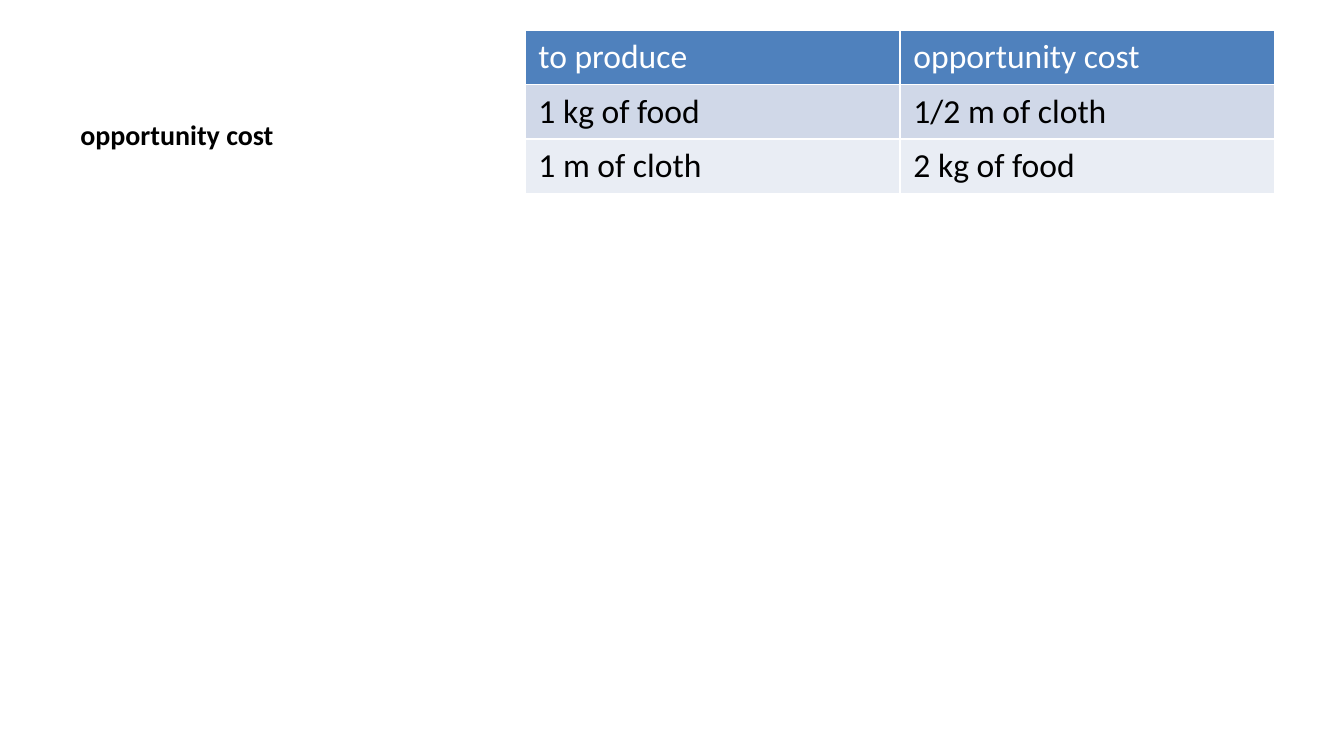
from pptx import Presentation
from pptx.dml.color import RGBColor
from pptx.enum import text
from pptx.util import Emu, Pt

TITLE = "opportunity cost"
ROWS = [
    ("to produce", "opportunity cost"),
    ("1 kg of food", "1/2 m of cloth"),
    ("1 m of cloth", "2 kg of food"),
]

FONT = "Calibri"
BLACK = RGBColor(0x00, 0x00, 0x00)
WHITE = RGBColor(0xFF, 0xFF, 0xFF)
HEADER_BLUE = RGBColor(0x4F, 0x81, 0xBD)
BAND_BLUE = RGBColor(0xD0, 0xD8, 0xE8)
BAND_PALE = RGBColor(0xE9, 0xED, 0xF4)
ROW_STYLES = [(HEADER_BLUE, WHITE), (BAND_BLUE, BLACK), (BAND_PALE, BLACK)]

SLIDE_WIDTH, SLIDE_HEIGHT = 1344, 756
TOP = 30
TITLE_LEFT, TITLE_WIDTH, TITLE_HEIGHT = 67, 442, 128
TABLE_LEFT, COLUMN_WIDTH, ROW_HEIGHT = 525, 375, 54


def px(length):
    return Emu(round(length * 914400 / 134.4))


def style_font(paragraph, size, color, bold):
    font = paragraph.font
    font.name, font.size, font.bold = FONT, Pt(size), bold
    font.color.rgb = color


def add_title(slide):
    title = slide.shapes.title
    title.left, title.top = px(TITLE_LEFT), px(TOP)
    title.width, title.height = px(TITLE_WIDTH), px(TITLE_HEIGHT)
    frame = title.text_frame
    frame.text = TITLE
    frame.word_wrap = True
    frame.auto_size = text.MSO_AUTO_SIZE.NONE
    frame.vertical_anchor = text.MSO_ANCHOR.BOTTOM
    paragraph = frame.paragraphs[0]
    paragraph.alignment = text.PP_ALIGN.LEFT
    style_font(paragraph, 15, BLACK, True)


def add_cost_table(slide):
    columns = len(ROWS[0])
    table = slide.shapes.add_table(
        len(ROWS), columns, px(TABLE_LEFT), px(TOP),
        px(COLUMN_WIDTH * columns), px(ROW_HEIGHT * len(ROWS))).table
    for row, labels, (fill, color) in zip(table.rows, ROWS, ROW_STYLES):
        for cell, label in zip(row.cells, labels):
            cell.text = label
            cell.fill.solid()
            cell.fill.fore_color.rgb = fill
            style_font(cell.text_frame.paragraphs[0], 18, color, False)


def main():
    presentation = Presentation()
    presentation.slide_width = px(SLIDE_WIDTH)
    presentation.slide_height = px(SLIDE_HEIGHT)
    title_only = presentation.slide_layouts[5]
    slide = presentation.slides.add_slide(title_only)
    add_title(slide)
    add_cost_table(slide)
    presentation.save("out.pptx")


if __name__ == "__main__":
    main()
